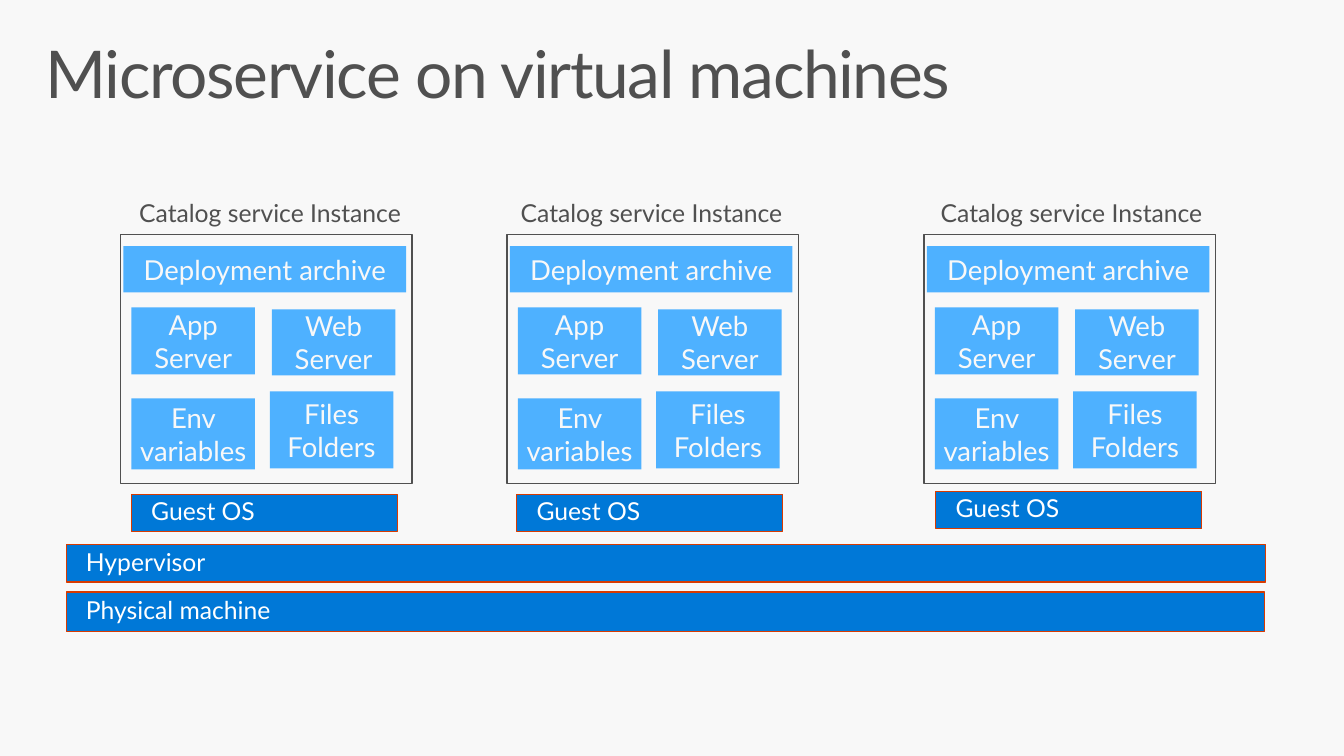
from pptx import Presentation
from pptx.dml.color import RGBColor
from pptx.enum.shapes import MSO_SHAPE as Shape
from pptx.enum.text import MSO_ANCHOR as Anchor, MSO_AUTO_SIZE as AutoSize, PP_ALIGN as Align
from pptx.util import Inches, Pt

BACKGROUND = RGBColor(0xF8, 0xF8, 0xF8)
GRAY = RGBColor(0x50, 0x50, 0x50)
WHITE = RGBColor(0xFF, 0xFF, 0xFF)
BLUE = RGBColor(0x00, 0x78, 0xD7)
LIGHT_BLUE = RGBColor(0x4E, 0xB1, 0xFF)
ORANGE = RGBColor(0xD8, 0x3B, 0x01)


def write(holder, text, size=18, color=GRAY, align=Align.LEFT, anchor=Anchor.TOP,
          insets=(0.1, 0.05), spacing=0.9, after=0, wrap=True):
    """Fill a shape with text, one paragraph per line; insets are (sides, top and bottom)."""
    frame = holder.text_frame
    frame.text = text
    frame.word_wrap = wrap
    frame.auto_size = AutoSize.NONE
    frame.vertical_anchor = anchor
    frame.margin_left = frame.margin_right = Inches(insets[0])
    frame.margin_top = frame.margin_bottom = Inches(insets[1])
    for paragraph in frame.paragraphs:
        paragraph.alignment = align
        paragraph.line_spacing = spacing
        paragraph.space_after = Pt(after)
        for run in paragraph.runs:
            run.font.name = "Lato"
            run.font.size = Pt(size)
            run.font.color.rgb = color


def add_box(left, top, width, height, fill=None, line=None):
    box = slide.shapes.add_shape(Shape.RECTANGLE, Inches(left), Inches(top),
                                 Inches(width), Inches(height))
    box.shadow.inherit = False
    if fill is None:
        box.fill.background()
    else:
        box.fill.solid()
        box.fill.fore_color.rgb = fill
    if line is None:
        box.line.fill.background()
    else:
        box.line.color.rgb = line
        box.line.width = Pt(0.85)
    return box


prs = Presentation()
prs.slide_width, prs.slide_height = Inches(13.6), Inches(7.65)
slide = prs.slides.add_slide(prs.slide_layouts[5])
slide.background.fill.solid()
slide.background.fill.fore_color.rgb = BACKGROUND

title = slide.shapes.title
title.left, title.top, title.width, title.height = map(Inches, (0.3, 0.32, 13, 1))
write(title, "Microservice on virtual machines", size=48, insets=(0.16, 0.1))
title.text_frame.paragraphs[0].runs[0].font._element.set("spc", "-100")

# Host layers and guest systems: text, left, top, width, height
layers = [
    ("Hypervisor", 0.67, 5.51, 12.14, 0.38),
    ("Physical machine", 0.67, 5.99, 12.13, 0.4),
    ("Guest OS", 1.33, 5, 2.69, 0.38),
    ("Guest OS", 5.23, 5, 2.69, 0.38),
    ("Guest OS", 9.47, 4.97, 2.69, 0.38),
]
for text, *place in layers:
    write(add_box(*place, fill=BLUE, line=ORANGE), text, color=WHITE,
          anchor=Anchor.MIDDLE, insets=(0.2, 0))

# Parts of one instance: text, offset from the frame, top, width, height
parts = [
    ("App Server", 0.11, 3.11, 1.25, 0.68),
    ("Web Server", 1.53, 3.13, 1.25, 0.67),
    ("Deployment archive", 0.03, 2.49, 2.86, 0.47),
    ("Env variables", 0.11, 4.03, 1.25, 0.72),
    ("Files\nFolders", 1.51, 3.96, 1.25, 0.78),
]
for frame_left, label_left in [(1.22, 1.31), (5.13, 5.17), (9.35, 9.42)]:
    for text, offset, *place in parts:
        write(add_box(frame_left + offset, *place, fill=LIGHT_BLUE), text, size=20,
              color=BACKGROUND, align=Align.CENTER, anchor=Anchor.MIDDLE,
              insets=(0, 0.05), spacing=1.0)
    add_box(frame_left, 2.37, 2.95, 2.52, line=GRAY)
    label = slide.shapes.add_textbox(Inches(label_left), Inches(1.99), Inches(2.88), Inches(0.37))
    write(label, "Catalog service Instance", after=6, wrap=False)

prs.save("out.pptx")
